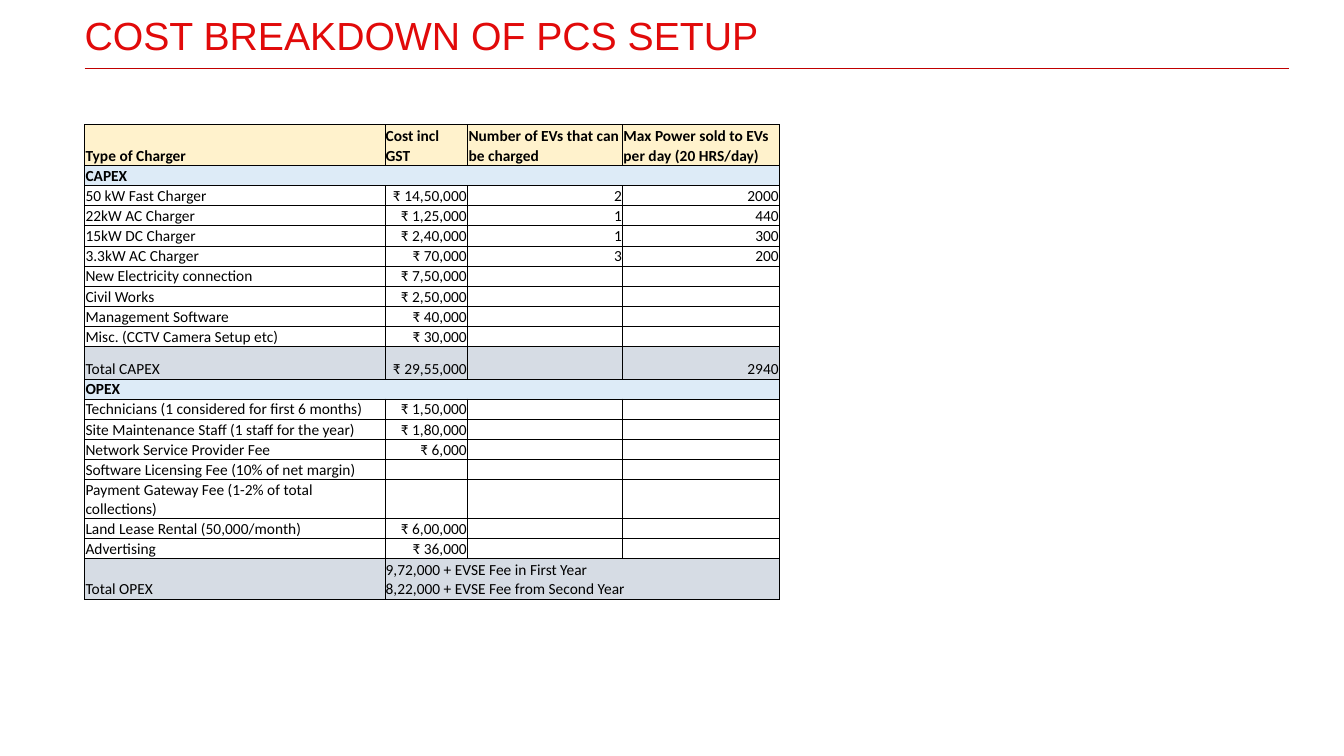
"""Build the slide with the cost breakdown of a charging station setup."""
import pptx
import pptx.dml.color
import pptx.enum.shapes
import pptx.enum.text
import pptx.oxml.ns
import pptx.util
from lxml import etree

Pt = pptx.util.Pt
qn = pptx.oxml.ns.qn
ANCHOR = pptx.enum.text.MSO_ANCHOR
ALIGN = pptx.enum.text.PP_ALIGN

TITLE = "COST BREAKDOWN OF PCS SETUP"
HEADER, SECTION, ITEM, TOTAL = "header", "section", "item", "total"
FILLS = {HEADER: "FFF2CC", SECTION: "DDEBF7", ITEM: None, TOTAL: "D6DCE4"}
ROWS = [
    (HEADER, 29, ["Type of Charger", "Cost incl GST", "Number of EVs that can be charged",
                  "Max Power sold to EVs per day (20 HRS/day)"]),
    (SECTION, 14.4, ["CAPEX"]),
    (ITEM, 14.4, ["50 kW Fast Charger", "₹ 14,50,000", "2", "2000"]),
    (ITEM, 14.4, ["22kW AC Charger", "₹ 1,25,000", "1", "440"]),
    (ITEM, 14.4, ["15kW DC Charger", "₹ 2,40,000", "1", "300"]),
    (ITEM, 14.4, ["3.3kW AC Charger", "₹ 70,000", "3", "200"]),
    (ITEM, 14.4, ["New Electricity connection", "₹ 7,50,000", "", ""]),
    (ITEM, 14.4, ["Civil Works", "₹ 2,50,000", "", ""]),
    (ITEM, 14.4, ["Management Software", "₹ 40,000", "", ""]),
    (ITEM, 14.4, ["Misc. (CCTV Camera Setup etc)", "₹ 30,000", "", ""]),
    (TOTAL, 23, ["Total CAPEX", "₹ 29,55,000", "", "2940"]),
    (SECTION, 14.4, ["OPEX"]),
    (ITEM, 14.4, ["Technicians (1 considered for first 6 months)", "₹ 1,50,000", "", ""]),
    (ITEM, 14.4, ["Site Maintenance Staff (1 staff for the year)", "₹ 1,80,000", "", ""]),
    (ITEM, 14.4, ["Network Service Provider Fee", "₹ 6,000", "", ""]),
    (ITEM, 14.4, ["Software Licensing Fee (10% of net margin)", "", "", ""]),
    (ITEM, 27.5, ["Payment Gateway Fee (1-2% of total collections)", "", "", ""]),
    (ITEM, 14.4, ["Land Lease Rental (50,000/month)", "₹ 6,00,000", "", ""]),
    (ITEM, 14.4, ["Advertising", "₹ 36,000", "", ""]),
    (TOTAL, 29, ["Total OPEX",
                 "9,72,000 + EVSE Fee in First Year\n8,22,000 + EVSE Fee from Second Year"]),
]
COLUMN_WIDTHS = [214.4, 59.2, 110.7, 112.1]
LEFT, RIGHT = 60.5, 920.5


def color(value):
    return pptx.dml.color.RGBColor.from_string(value)


def write(para, text, size=11, font="Calibri", ink="000000", bold=False,
          align=ALIGN.LEFT, spacing=None):
    para.text = text
    para.alignment = align
    para.line_spacing = spacing
    for span in para.runs:
        span.font.size = Pt(size)
        span.font.name = font
        span.font.bold = bold
        span.font.color.rgb = color(ink)
    for line_break in para._p.findall(qn("a:br")):
        etree.SubElement(line_break, qn("a:rPr"), sz=str(size * 100))
    if not text:
        etree.SubElement(para._p, qn("a:endParaRPr"), sz=str(size * 100))


def draw_borders(cell, width=0.5, ink="000000"):
    properties = cell._tc.get_or_add_tcPr()
    for position, side in enumerate(("lnL", "lnR", "lnT", "lnB")):
        line = etree.Element(qn("a:" + side), w=str(Pt(width)))
        fill = etree.SubElement(line, qn("a:solidFill"))
        etree.SubElement(fill, qn("a:srgbClr"), val=ink)
        properties.insert(position, line)


def add_title(page):
    box = page.shapes.add_textbox(Pt(LEFT), Pt(8), Pt(RIGHT - LEFT), Pt(39.5))
    frame = box.text_frame
    frame.word_wrap = True
    frame.vertical_anchor = ANCHOR.MIDDLE
    frame.margin_left = frame.margin_right = frame.margin_top = frame.margin_bottom = 0
    write(frame.paragraphs[0], TITLE, size=28, font="Arial", ink="E10A0A", spacing=0.85)

    rule = page.shapes.add_connector(
        pptx.enum.shapes.MSO_CONNECTOR.STRAIGHT, Pt(LEFT), Pt(49), Pt(RIGHT), Pt(49))
    rule.line.color.rgb = color("C00000")
    rule.line.width = Pt(0.5)
    etree.SubElement(rule._element.spPr, qn("a:effectLst"))


def add_costs(page):
    heights = [height for _, height, _ in ROWS]
    table = page.shapes.add_table(
        len(ROWS), len(COLUMN_WIDTHS), Pt(LEFT), Pt(89),
        Pt(sum(COLUMN_WIDTHS)), Pt(sum(heights))).table
    table.first_row = table.horz_banding = False
    for column, width in zip(table.columns, COLUMN_WIDTHS):
        column.width = Pt(width)
    last = len(COLUMN_WIDTHS) - 1
    for row, (kind, height, texts) in enumerate(ROWS):
        table.rows[row].height = Pt(height)
        for column in range(last + 1):
            cell = table.cell(row, column)
            text = texts[column] if column < len(texts) else ""
            cell.margin_left = cell.margin_right = cell.margin_top = Pt(0.6)
            cell.margin_bottom = 0
            cell.vertical_anchor = ANCHOR.BOTTOM
            if FILLS[kind]:
                cell.fill.solid()
                cell.fill.fore_color.rgb = color(FILLS[kind])
            else:
                cell.fill.background()
            draw_borders(cell)
            is_number = column > 0 and kind != HEADER and len(texts) > last
            write(cell.text_frame.paragraphs[0], text, bold=kind in (HEADER, SECTION),
                  align=ALIGN.RIGHT if is_number else ALIGN.LEFT)
        if len(texts) <= last:
            table.cell(row, len(texts) - 1).merge(table.cell(row, last))


def main():
    deck = pptx.Presentation()
    deck.slide_width, deck.slide_height = Pt(960), Pt(540)
    page = deck.slides.add_slide(deck.slide_layouts[6])
    add_title(page)
    add_costs(page)
    deck.save("out.pptx")


if __name__ == "__main__":
    main()
